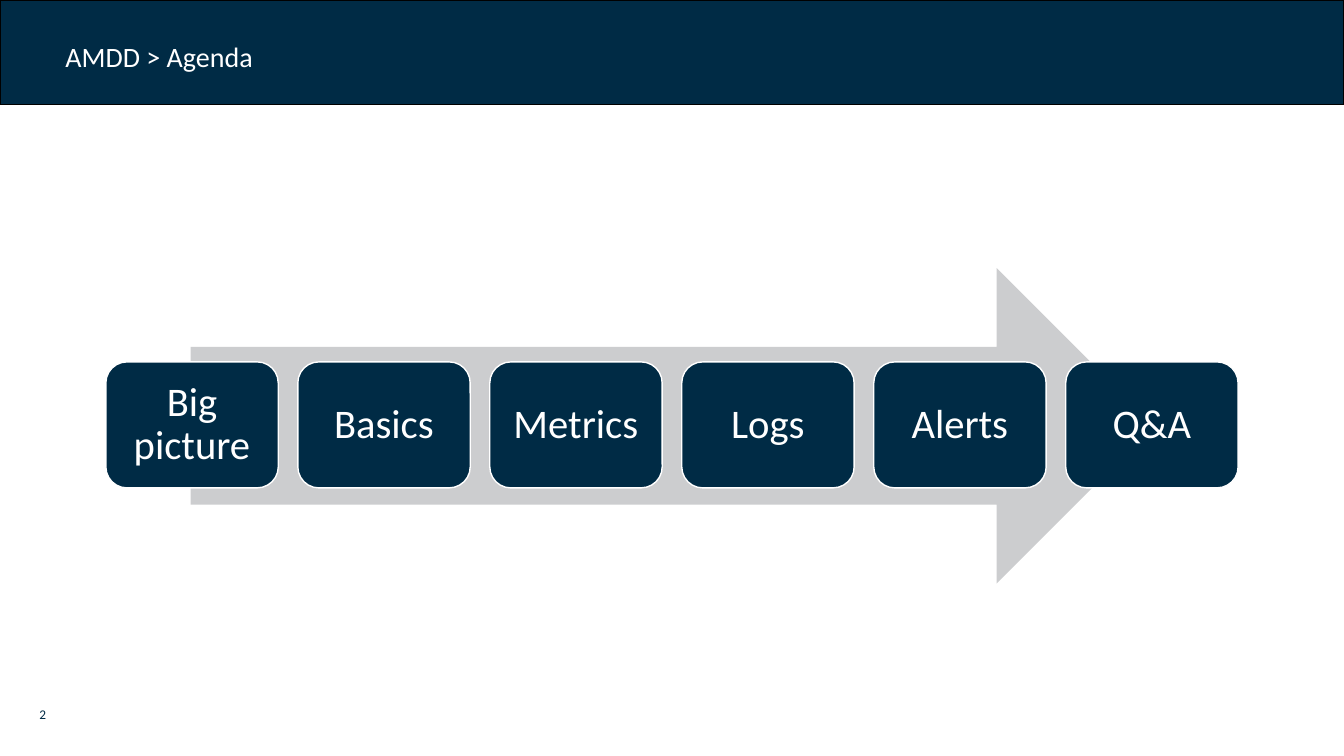
"""Build the agenda slide with its six steps on an arrow."""
from pptx import Presentation
from pptx.dml.color import RGBColor
from pptx.enum.shapes import MSO_SHAPE
from pptx.enum.text import MSO_ANCHOR, PP_ALIGN
from pptx.util import Inches, Pt

TITLE = "AMDD > Agenda"
STEPS = ["Big picture", "Basics", "Metrics", "Logs", "Alerts", "Q&A"]
PAGE_NUMBER = "2"

NAVY, GREY, WHITE, BLACK = "002B45", "CCCDCF", "FFFFFF", "000000"
FONT = "Calibri"
STEP_LEFT, STEP_TOP, STEP_WIDTH, STEP_HEIGHT = 1.05, 3.59, 1.71, 1.25
ARROW_LEFT, ARROW_TOP, ARROW_WIDTH, ARROW_HEIGHT = 1.89, 2.66, 9.56, 3.13
STEPS_RIGHT = 12.28


def color(hex_string):
    return RGBColor.from_string(hex_string)


def add_block(slide, kind, left, top, width, height, fill, line=None, line_width=1):
    shape = slide.shapes.add_shape(
        kind, Inches(left), Inches(top), Inches(width), Inches(height))
    shape.shadow.inherit = False
    shape.fill.solid()
    shape.fill.fore_color.rgb = color(fill)
    if line:
        shape.line.color.rgb = color(line)
        shape.line.width = Pt(line_width)
    else:
        shape.line.fill.background()
    return shape


def write_text(shape, text, size, font_color=WHITE, align=PP_ALIGN.LEFT,
               anchor=MSO_ANCHOR.MIDDLE, insets=(0.1, 0.05), line_spacing=1.0):
    frame = shape.text_frame
    frame.word_wrap = True
    frame.vertical_anchor = anchor
    frame.margin_left = frame.margin_right = Inches(insets[0])
    frame.margin_top = frame.margin_bottom = Inches(insets[1])
    paragraph = frame.paragraphs[0]
    paragraph.alignment = align
    paragraph.line_spacing = line_spacing
    run = paragraph.add_run()
    run.text = text
    run.font.name = FONT
    run.font.size = Pt(size)
    run.font.color.rgb = color(font_color)


def main():
    presentation = Presentation()
    presentation.slide_width = Inches(13.33)
    presentation.slide_height = Inches(7.5)
    slide = presentation.slides.add_slide(presentation.slide_layouts[6])

    number = slide.shapes.add_textbox(Inches(0.39), Inches(6.96), Inches(0.4), Inches(0.2))
    write_text(number, PAGE_NUMBER, 9.5, NAVY, anchor=MSO_ANCHOR.BOTTOM, insets=(0, 0))

    add_block(slide, MSO_SHAPE.RIGHT_ARROW,
              ARROW_LEFT, ARROW_TOP, ARROW_WIDTH, ARROW_HEIGHT, GREY)
    pitch = (STEPS_RIGHT - STEP_WIDTH - STEP_LEFT) / (len(STEPS) - 1)
    for index, step in enumerate(STEPS):
        box = add_block(slide, MSO_SHAPE.ROUNDED_RECTANGLE, STEP_LEFT + index * pitch,
                        STEP_TOP, STEP_WIDTH, STEP_HEIGHT, NAVY, WHITE)
        write_text(box, step, 29, align=PP_ALIGN.CENTER, insets=(0.12, 0.12),
                   line_spacing=0.9)

    add_block(slide, MSO_SHAPE.RECTANGLE, 0, 0, 13.33, 1.04, NAVY, BLACK)
    title = add_block(slide, MSO_SHAPE.RECTANGLE, 0.55, 0.34, 8.85, 0.44, NAVY, NAVY, 0.75)
    write_text(title, TITLE, 20)

    presentation.save("out.pptx")


if __name__ == "__main__":
    main()
